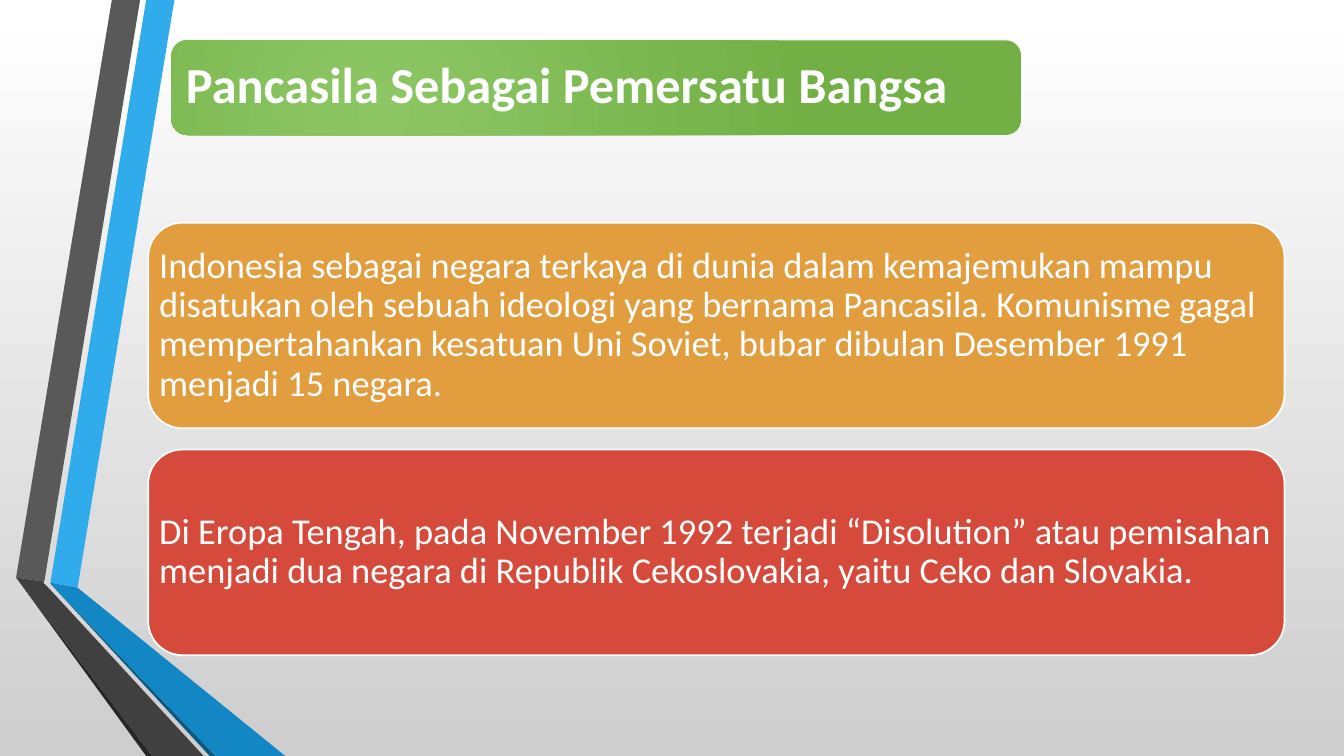
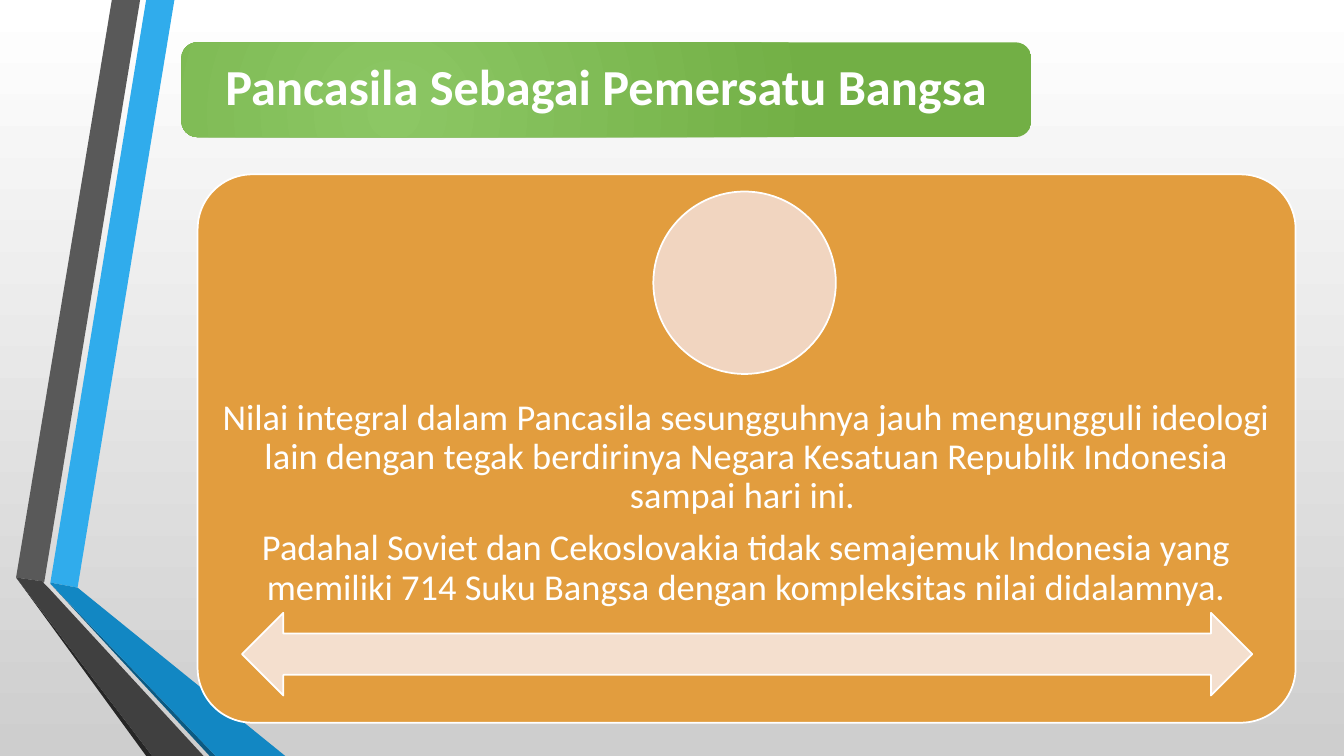
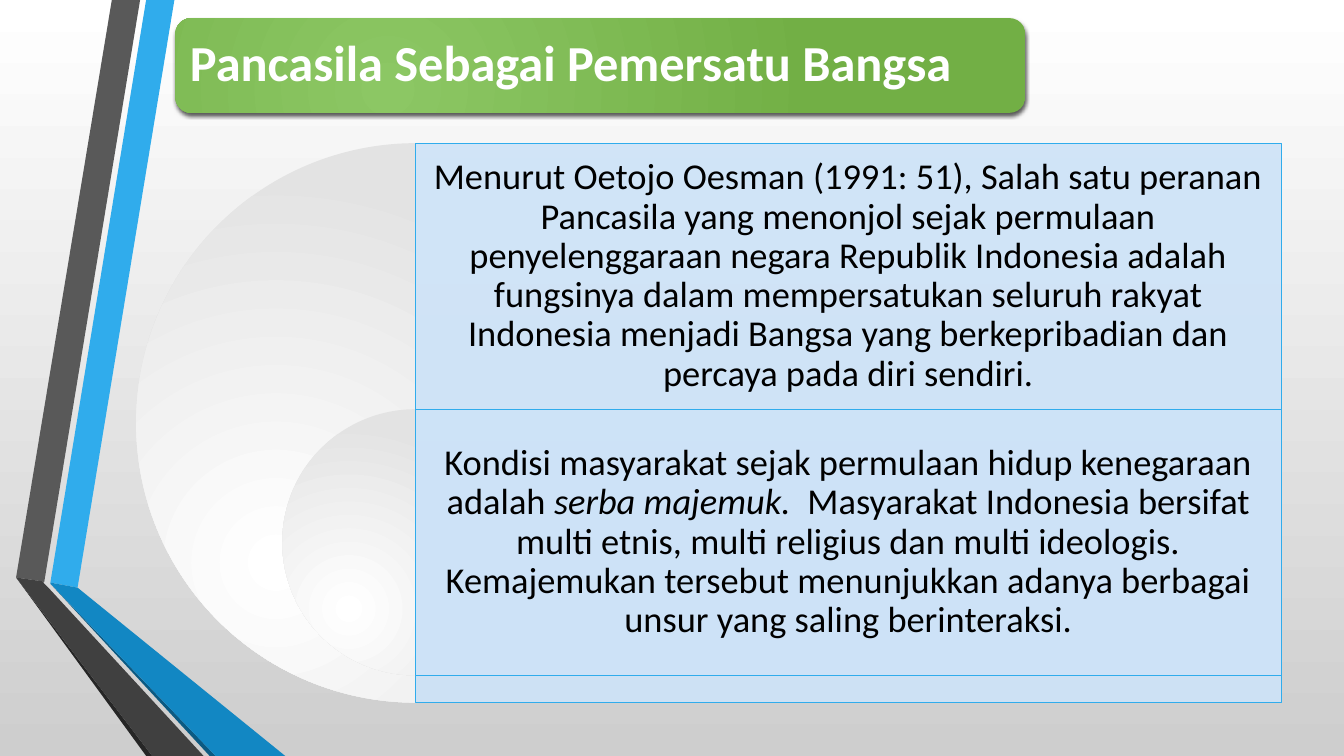
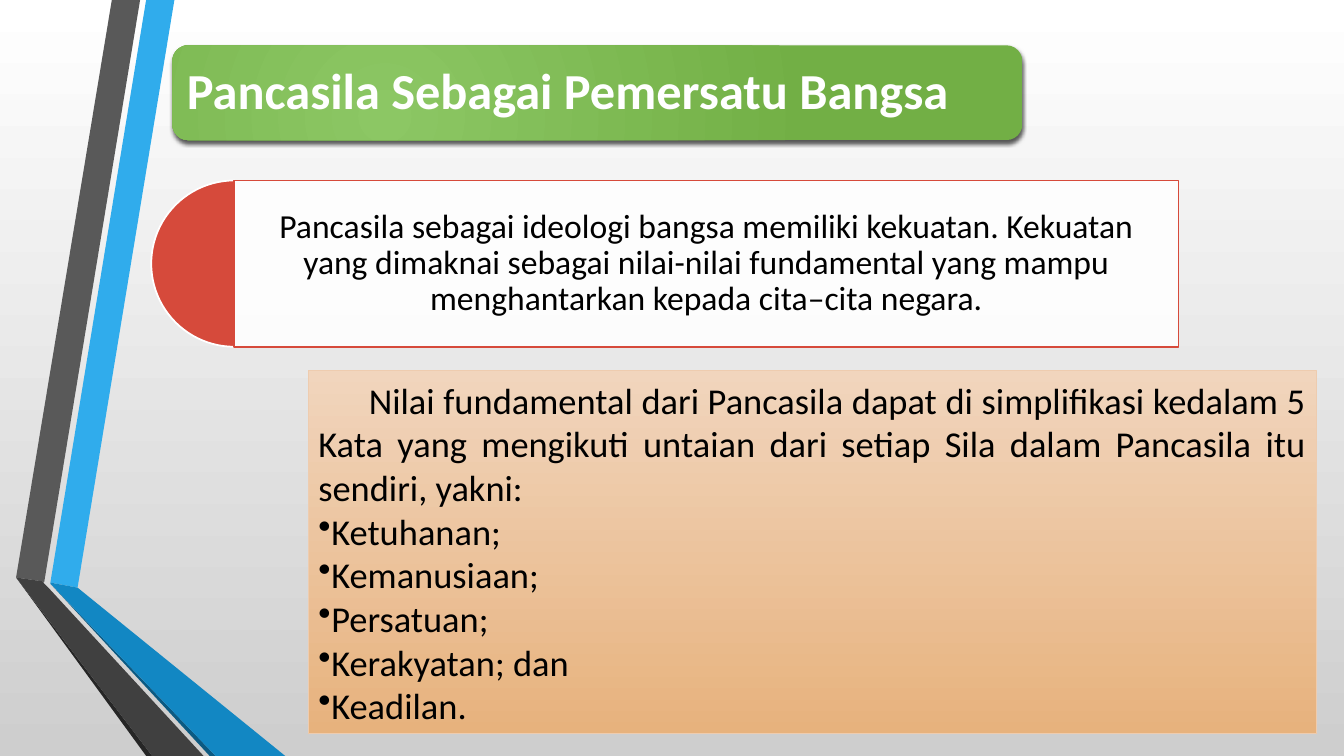
from dataclasses import dataclass

import lxml.etree
import pptx
import pptx.dml.color
import pptx.enum.shapes
import pptx.enum.text
import pptx.oxml.ns
import pptx.util

PX = 9144  # EMU, a hundredth of an inch
SHAPE = pptx.enum.shapes.MSO_SHAPE
ALIGN = pptx.enum.text.PP_ALIGN
qn = pptx.oxml.ns.qn


@dataclass(frozen=True)
class Theme:
    font: str = "Calibri"
    title_size: int = 36
    body_size: int = 26
    small_size: int = 24
    tight: float = 0.9
    paragraph_gap: int = 9
    thick: float = 1.25
    thin: float = 0.75
    white: str = "FFFFFF"
    black: str = "000000"
    orange: str = "E29D3E"
    red: str = "D64A3B"
    blue: str = "30ACEC"
    pale_blue: str = "CDE3F8"
    pale_peach: str = "F1D5C0"
    arrow_peach: str = "F4DFCE"
    peach_line: str = "EECCAF"
    background: tuple = ("FFFFFF", "CECECE")
    title_fill: tuple = ("8CC764", "72AF45")
    pie_fill: tuple = ("FFFFFF", "E3E3E3")
    peach_fill: tuple = ("F1D5BD", "E7B27D")


THEME = Theme()
TITLE = "Pancasila Sebagai Pemersatu Bangsa"

RIBBONS = [
    (THEME.blue, [(50, 578), (77, 583), (173, 0), (145, 0)]),
    ("595959", [(139, 0), (111, 0), (16, 573), (44, 577)]),
    ("262626", [(16, 573), (145, 750), (151, 750)]),
    ("0C5A82", [(50, 579), (208, 750), (214, 750)]),
    ("1287C3", [(50, 578), (50, 579), (214, 750), (283, 750), (77, 583)]),
    ("404040", [(202, 750), (48, 583), (43, 578), (44, 577), (16, 573), (151, 750)]),
]

UNITY_CARDS = [
    (THEME.orange, "Indonesia sebagai negara terkaya di dunia dalam kemajemukan mampu disatukan "
     "oleh sebuah ideologi yang bernama Pancasila. Komunisme gagal mempertahankan kesatuan "
     "Uni Soviet, bubar dibulan Desember 1991 menjadi 15 negara."),
    (THEME.red, "Di Eropa Tengah, pada November 1992 terjadi “Disolution” atau pemisahan menjadi "
     "dua negara di Republik Cekoslovakia, yaitu Ceko dan Slovakia."),
]
INTEGRAL_VALUES = [
    "Nilai integral dalam Pancasila sesungguhnya jauh mengungguli ideologi lain dengan tegak "
    "berdirinya Negara Kesatuan Republik Indonesia sampai hari ini. ",
    "Padahal Soviet dan Cekoslovakia tidak semajemuk Indonesia yang memiliki 714 Suku Bangsa "
    "dengan kompleksitas nilai didalamnya.",
]
# A paragraph is a string, or a list of (text, italic) runs.
ROLES = [
    "Menurut Oetojo Oesman (1991: 51), Salah satu peranan Pancasila yang menonjol sejak "
    "permulaan penyelenggaraan negara Republik Indonesia adalah fungsinya dalam mempersatukan "
    "seluruh rakyat Indonesia menjadi Bangsa yang berkepribadian dan percaya pada diri sendiri.",
    [("Kondisi masyarakat sejak permulaan hidup kenegaraan adalah ", False),
     ("serba majemuk. ", True),
     (" Masyarakat Indonesia bersifat multi etnis, multi religius dan multi ideologis. "
      "Kemajemukan tersebut menunjukkan adanya berbagai unsur yang saling berinteraksi.", False)],
]
STRENGTH = ("Pancasila sebagai ideologi bangsa memiliki kekuatan. Kekuatan yang dimaknai sebagai "
            "nilai-nilai fundamental yang mampu menghantarkan kepada cita–cita negara.")
FUNDAMENTALS_INTRO = (
    "Nilai fundamental dari Pancasila dapat di simplifikasi kedalam 5 Kata yang mengikuti "
    "untaian dari setiap Sila dalam Pancasila itu sendiri, yakni:")
FUNDAMENTALS = ["Ketuhanan;", "Kemanusiaan;", "Persatuan;", "Kerakyatan; dan", "Keadilan. "]


def rgb(value):
    return pptx.dml.color.RGBColor.from_string(value)


def set_gradient(fill, colors):
    """Fill from top to bottom."""
    fill.gradient()
    fill.gradient_angle = 270
    for stop, color in zip(fill.gradient_stops, colors):
        stop.color.rgb = rgb(color)


def make_circular(shape):
    """Turn the shape's linear gradient into a circular one."""
    gradient = shape.element.spPr.find(qn("a:gradFill"))
    gradient.remove(gradient.find(qn("a:lin")))
    circle = lxml.etree.SubElement(gradient, qn("a:path"), path="circle")
    lxml.etree.SubElement(circle, qn("a:fillToRect"), l="50000", t="100000", r="100000", b="50000")


def set_opacity(shape, percent):
    color = shape.element.spPr.find(qn("a:solidFill"))[0]
    lxml.etree.SubElement(color, qn("a:alpha"), val=str(percent * 1000))


def add_shadow(shape):
    effects = shape.element.spPr.find(qn("a:effectLst"))
    shadow = lxml.etree.SubElement(
        effects, qn("a:outerShdw"), blurRad="38100", dist="25400", dir="5400000", rotWithShape="0")
    color = lxml.etree.SubElement(shadow, qn("a:srgbClr"), val=THEME.black)
    lxml.etree.SubElement(color, qn("a:alpha"), val="64000")


def style(shape, fill, line=None, width=THEME.thick):
    shape.shadow.inherit = False
    if isinstance(fill, tuple):
        set_gradient(shape.fill, fill)
    else:
        shape.fill.solid()
        shape.fill.fore_color.rgb = rgb(fill)
    if line:
        shape.line.color.rgb = rgb(line)
        shape.line.width = pptx.util.Pt(width)
    else:
        shape.line.fill.background()


def add_shape(slide, kind, box, fill, line=None, width=THEME.thick):
    shape = slide.shapes.add_shape(kind, *(value * PX for value in box))
    style(shape, fill, line, width)
    return shape


def add_half_disc(slide, box, fill, line=None):
    pie = add_shape(slide, SHAPE.PIE, box, fill, line)
    pie.adjustments[0], pie.adjustments[1] = 54, 162
    return pie


def write(shape, paragraphs, size=THEME.body_size, color=THEME.black, align=ALIGN.CENTER,
          insets=(10, 5, 10, 5), spacing=THEME.tight, gap=THEME.paragraph_gap,
          bold=False, bulleted=False):
    """Write the paragraphs; with bulleted, every one but the first gets a bullet."""
    frame = shape.text_frame
    frame.word_wrap = True
    frame.vertical_anchor = pptx.enum.text.MSO_ANCHOR.MIDDLE
    frame.margin_left, frame.margin_top, frame.margin_right, frame.margin_bottom = (
        inset * PX for inset in insets)
    for index, content in enumerate(paragraphs):
        paragraph = frame.add_paragraph() if index else frame.paragraphs[0]
        paragraph.alignment = align
        paragraph.line_spacing = spacing
        if index and gap:
            paragraph.space_before = pptx.util.Pt(gap)
        if bulleted:
            properties = paragraph._p.get_or_add_pPr()
            properties.set("marL", "0")
            properties.set("indent", str(0 if index else 50 * PX))
            if index:
                lxml.etree.SubElement(properties, qn("a:buChar"), char="•")
        runs = [(content, False)] if isinstance(content, str) else content
        for text, italic in runs:
            run = paragraph.add_run()
            run.text = text
            if italic:
                run.font.italic = True
        font = paragraph.font
        font.name, font.size, font.bold = THEME.font, pptx.util.Pt(size), bold
        font.color.rgb = rgb(color)


def add_title(slide, left, top, align=ALIGN.LEFT, shadow=False):
    banner = add_shape(slide, SHAPE.ROUNDED_RECTANGLE, (left, top, 843, 94), THEME.title_fill)
    make_circular(banner)
    if shadow:
        add_shadow(banner)
    write(banner, [TITLE], THEME.title_size, THEME.white, align, insets=(10, 10, 10, 10), bold=True)


def put_ribbons_on_layout(slide, layout):
    """Draw the ribbons on a slide, then move them to its layout, where all slides share them."""
    for placeholder in list(layout.placeholders):
        layout.shapes.element.remove(placeholder.element)
    ribbons = []
    for color, points in RIBBONS:
        builder = slide.shapes.build_freeform(*points[0], scale=PX)
        builder.add_line_segments(points[1:], close=True)
        ribbon = builder.convert_to_shape()
        style(ribbon, color)
        ribbons.append(ribbon)
    for ribbon in ribbons:
        layout.shapes.element.append(ribbon.element)


def build_unity(slide):
    add_title(slide, 170, 40)
    height, gap = 204, 21
    for index, (color, text) in enumerate(UNITY_CARDS):
        box = (147, 221 + index * (height + gap), 1127, height)
        card = add_shape(slide, SHAPE.ROUNDED_RECTANGLE, box, color, THEME.white)
        write(card, [text], color=THEME.white, align=ALIGN.LEFT, insets=(1, 1, 1, 1))


def build_integral_values(slide):
    add_title(slide, 180, 42, ALIGN.CENTER)
    left, width = 196, 1089
    card = add_shape(slide, SHAPE.ROUNDED_RECTANGLE, (left, 173, width, 544),
                     THEME.orange, THEME.white)
    card.adjustments[0] = 0.1
    text_box = slide.shapes.add_textbox(left * PX, 391 * PX, width * PX, 217 * PX)
    write(text_box, INTEGRAL_VALUES, color=THEME.white, insets=(20, 20, 20, 20))
    add_shape(slide, SHAPE.OVAL, (648, 190, 181, 181), THEME.pale_peach, THEME.white)
    add_shape(slide, SHAPE.LEFT_RIGHT_ARROW, (240, 608, 1002, 82), THEME.arrow_peach, THEME.white)


def build_roles(slide):
    add_title(slide, 174, 18, shadow=True)
    middle, top, text_height, inset = 412, 142, 264, 11
    for index, (text, diameter) in enumerate(zip(ROLES, (555, text_height))):
        panel_top = top + index * text_height
        pie = add_half_disc(slide, (middle - diameter // 2, panel_top, diameter, diameter),
                            THEME.pie_fill)
        make_circular(pie)
        panel = add_shape(slide, SHAPE.RECTANGLE, (middle, panel_top, 859, diameter),
                          THEME.pale_blue, THEME.blue, THEME.thin)
        set_opacity(panel, 90)
        write(panel, [text], insets=(inset, inset, inset, diameter - text_height + inset))


def build_fundamentals(slide):
    add_title(slide, 171, 45, shadow=True)
    top, diameter = 179, 165
    add_half_disc(slide, (150, top, diameter, diameter), THEME.red, THEME.white)
    panel = add_shape(slide, SHAPE.RECTANGLE, (232, top, 937, diameter), THEME.white, THEME.red)
    set_opacity(panel, 90)
    write(panel, [STRENGTH], THEME.small_size, insets=(10, 10, 10, 10))
    listing = add_shape(slide, SHAPE.RECTANGLE, (306, 368, 1000, 360),
                        THEME.peach_fill, THEME.peach_line, THEME.thin)
    write(listing, [FUNDAMENTALS_INTRO, *FUNDAMENTALS], align=ALIGN.JUSTIFY,
          spacing=1.0, gap=0, bulleted=True)


def main():
    presentation = pptx.Presentation()
    presentation.slide_width, presentation.slide_height = 1333 * PX, 750 * PX
    set_gradient(presentation.slide_master.background.fill, THEME.background)
    layout = presentation.slide_layouts[6]
    builders = [build_unity, build_integral_values, build_roles, build_fundamentals]
    for index, build in enumerate(builders):
        slide = presentation.slides.add_slide(layout)
        if index == 0:
            put_ribbons_on_layout(slide, layout)
        for placeholder in list(slide.placeholders):
            slide.shapes.element.remove(placeholder.element)
        build(slide)
    presentation.save("out.pptx")


if __name__ == "__main__":
    main()
